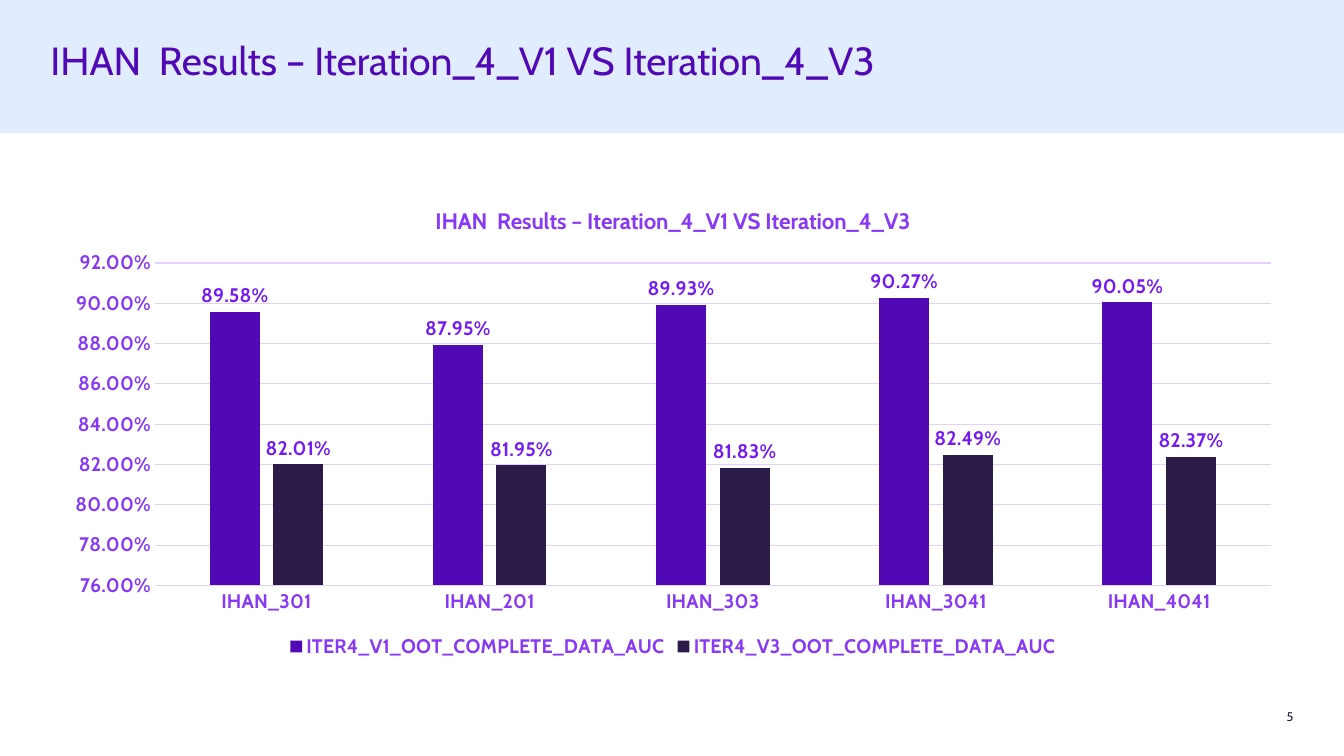
from dataclasses import dataclass

from pptx import Presentation
from pptx.chart.chart import Chart
from pptx.chart.data import CategoryChartData
from pptx.chart.series import BarSeries
from pptx.dml.color import RGBColor
from pptx.enum.chart import (
    XL_CHART_TYPE,
    XL_LABEL_POSITION,
    XL_LEGEND_POSITION,
    XL_TICK_MARK,
)
from pptx.enum.shapes import MSO_SHAPE
from pptx.enum.text import MSO_ANCHOR, PP_ALIGN
from pptx.slide import Slide
from pptx.text.text import Font, TextFrame
from pptx.util import Emu, Pt

FONT_NAME = "Cabin"
HEADING = "IHAN  Results – Iteration_4_V1 VS Iteration_4_V3"
CATEGORIES = ["IHAN_301", "IHAN_201", "IHAN_303", "IHAN_3041", "IHAN_4041"]
PERCENT = "0.00%"
PURPLE = "5009B5"
AXIS_TEXT = "8739F5"
LABEL_TEXT = "741AF4"
GRID = "E3D1FD"


@dataclass(frozen=True)
class Box:
    left: int
    top: int
    width: int
    height: int

    def emu(self) -> tuple[Emu, Emu, Emu, Emu]:
        return px(self.left), px(self.top), px(self.width), px(self.height)


@dataclass(frozen=True)
class Iteration:
    name: str
    color: str
    values: tuple[float, ...]


ITERATIONS = [
    Iteration("ITER4_V1_OOT_COMPLETE_DATA_AUC", PURPLE,
              (0.8958, 0.8795, 0.8993, 0.9027, 0.9005)),
    Iteration("ITER4_V3_OOT_COMPLETE_DATA_AUC", "2B1B49",
              (0.8201, 0.8195, 0.8183, 0.8249, 0.8237)),
]


def px(length: int) -> Emu:
    return Emu(length * 9525)


def rgb(color: str) -> RGBColor:
    return RGBColor.from_string(color)


def style_font(font: Font, size: int, color: str, bold: bool = False) -> None:
    font.name = FONT_NAME
    font.size = Pt(size)
    font.bold = bold
    font.color.rgb = rgb(color)


def write_text(frame: TextFrame, text: str, size: int, color: str,
               align: PP_ALIGN, anchor: MSO_ANCHOR) -> None:
    frame.margin_left = frame.margin_right = 0
    frame.margin_top = frame.margin_bottom = 0
    frame.word_wrap = True
    frame.vertical_anchor = anchor
    paragraph = frame.paragraphs[0]
    paragraph.alignment = align
    run = paragraph.add_run()
    run.text = text
    style_font(run.font, size, color)


def add_header(slide: Slide) -> None:
    band = slide.shapes.add_shape(MSO_SHAPE.RECTANGLE, *Box(0, 0, 1280, 127).emu())
    band.shadow.inherit = False
    band.fill.solid()
    band.fill.fore_color.rgb = rgb("E1EDFF")
    band.line.fill.background()

    title = slide.shapes.title
    band.element.addnext(title.element)
    title.left, title.top, title.width, title.height = Box(48, 40, 1184, 86).emu()
    write_text(title.text_frame, HEADING, 28, PURPLE, PP_ALIGN.LEFT, MSO_ANCHOR.TOP)
    title.text_frame.paragraphs[0].line_spacing = 0.9


def add_page_number(slide: Slide) -> None:
    number = slide.shapes.add_textbox(*Box(1192, 676, 40, 14).emu())
    write_text(number.text_frame, "5", 9, "231E33", PP_ALIGN.RIGHT, MSO_ANCHOR.BOTTOM)


def style_axes(chart: Chart) -> None:
    for axis in (chart.category_axis, chart.value_axis):
        axis.major_tick_mark = XL_TICK_MARK.NONE
        axis.minor_tick_mark = XL_TICK_MARK.NONE
        axis.tick_labels.number_format = PERCENT
        axis.tick_labels.number_format_is_linked = False
        style_font(axis.tick_labels.font, 14, AXIS_TEXT, True)

    value_axis = chart.value_axis
    value_axis.minimum_scale = 0.76
    value_axis.maximum_scale = 0.92
    value_axis.major_unit = 0.02
    value_axis.format.line.fill.background()
    for line in (chart.category_axis.format.line,
                 value_axis.major_gridlines.format.line):
        line.color.rgb = rgb(GRID)
        line.width = Pt(0.75)


def style_series(series: BarSeries, color: str) -> None:
    series.format.fill.solid()
    series.format.fill.fore_color.rgb = rgb(color)
    series.invert_if_negative = False
    labels = series.data_labels
    labels.show_value = True
    labels.position = XL_LABEL_POSITION.OUTSIDE_END
    labels.number_format = PERCENT
    labels.number_format_is_linked = False
    style_font(labels.font, 14, LABEL_TEXT, True)


def add_results_chart(slide: Slide) -> None:
    data = CategoryChartData(number_format=PERCENT)
    data.categories = CATEGORIES
    for iteration in ITERATIONS:
        data.add_series(iteration.name, iteration.values)
    chart = slide.shapes.add_chart(
        XL_CHART_TYPE.COLUMN_CLUSTERED, *Box(48, 178, 1186, 453).emu(), data
    ).chart
    style_font(chart.font, 14, PURPLE, True)

    chart.has_title = True
    chart.chart_title.include_in_layout = False
    title_run = chart.chart_title.text_frame.paragraphs[0].add_run()
    title_run.text = HEADING
    style_font(title_run.font, 16, AXIS_TEXT, True)

    chart.has_legend = True
    chart.legend.position = XL_LEGEND_POSITION.BOTTOM
    chart.legend.include_in_layout = False
    style_font(chart.legend.font, 14, AXIS_TEXT, True)

    style_axes(chart)
    plot = chart.plots[0]
    plot.gap_width = 219
    plot.overlap = -27
    plot.vary_by_categories = False
    for series, iteration in zip(plot.series, ITERATIONS):
        style_series(series, iteration.color)


def main() -> None:
    presentation = Presentation()
    presentation.slide_width = px(1280)
    presentation.slide_height = px(720)
    slide = presentation.slides.add_slide(presentation.slide_layouts[5])
    add_header(slide)
    add_page_number(slide)
    add_results_chart(slide)
    presentation.save("out.pptx")


if __name__ == "__main__":
    main()
